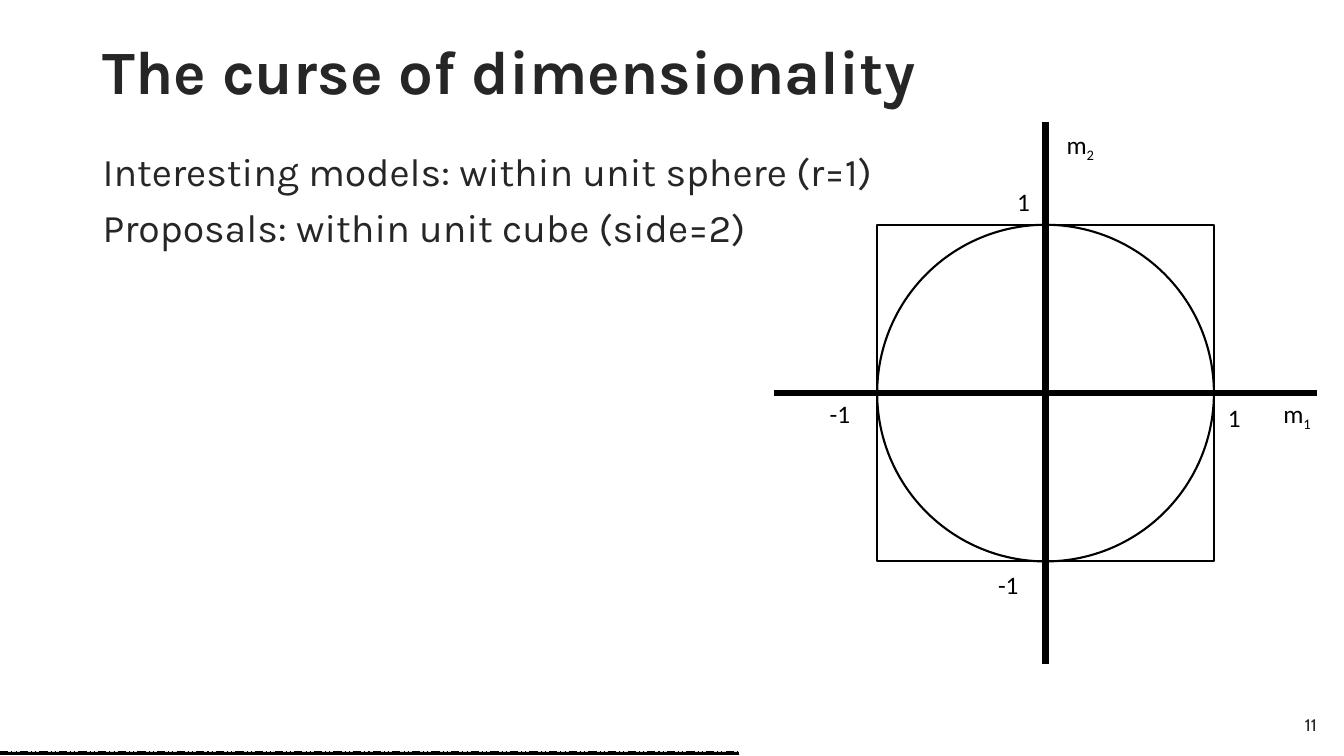
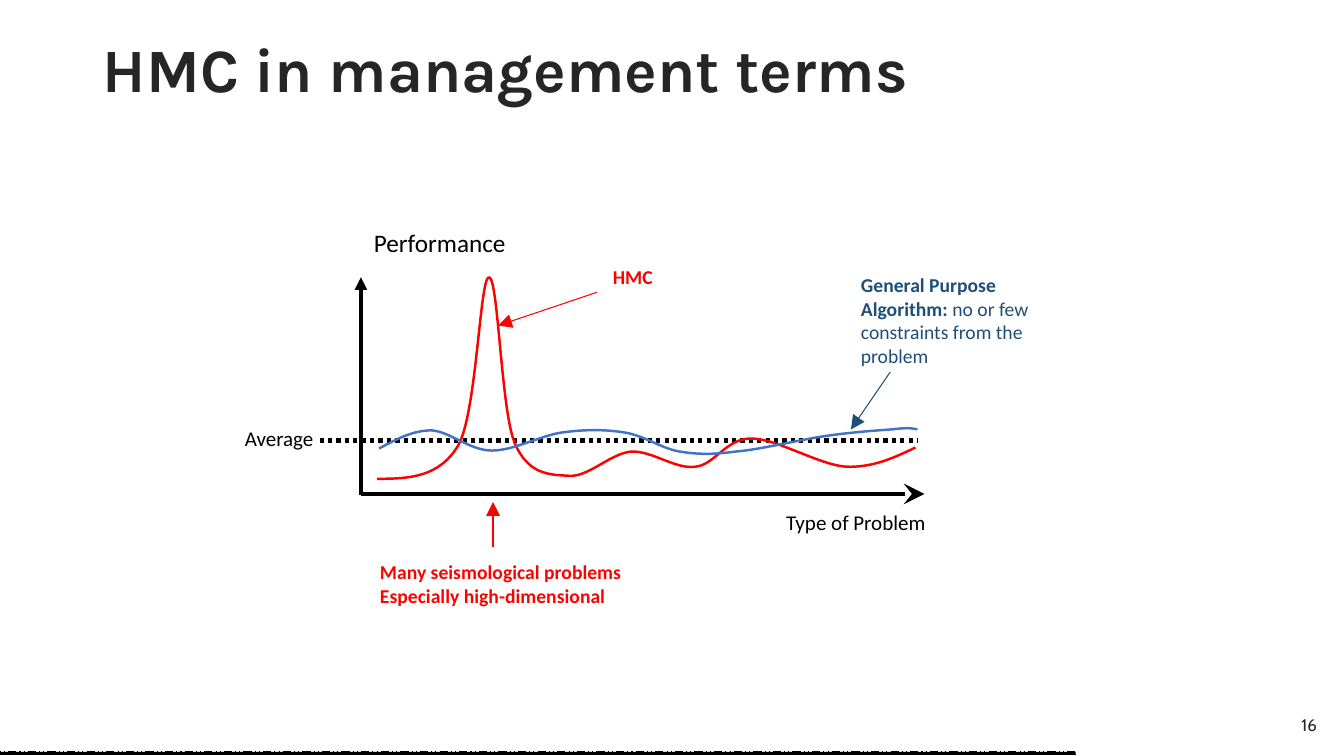
from lxml import etree
from pptx import Presentation
from pptx.dml.color import RGBColor
from pptx.enum.dml import MSO_LINE
from pptx.enum.shapes import MSO_CONNECTOR, MSO_SHAPE
from pptx.enum.text import MSO_ANCHOR, MSO_AUTO_SIZE, PP_ALIGN
from pptx.oxml.ns import qn
from pptx.util import Inches, Pt

COLORS = {"black": "000000", "text": "262626", "red": "FF0000",
          "blue": "4472C4", "navy": "1F4E79"}

SPHERE_TITLE, SPHERE_TITLE_BOX = "The curse of dimensionality", (0.92, 0.01, 12.07, 1.45)
SPHERE_PAGE, SPHERE_PROGRESS = 11, 7.33
SPHERE_POINTS = ["Interesting models: within unit sphere (r=1)",
                 "Proposals: within unit cube (side=2)"]
CENTER_X, CENTER_Y, RADIUS, AXIS_REACH = 10.37, 3.9, 1.67, 2.69
AXIS_NAMES = [("1", 12.63, 3.9), ("2", 10.48, 1.23)]
TICKS = [("1", 12.08, 3.94, 0.33), ("-1", 8.13, 3.9, 0.46),
         ("-1", 9.8, 5.6, 0.52), ("1", 9.99, 1.8, 0.33)]

HMC_TITLE, HMC_TITLE_BOX = "HMC in management terms", (0.92, 0, 11.74, 1.43)
HMC_PAGE, HMC_PROGRESS = 16, 10.67
# Lines of text, box, size, colour, bold
HMC_LABELS = [
    (["Type of Problem"], (7.7, 5.01, 1.6, 0.35), 15, "black", False),
    (["Average"], (2.33, 4.17, 0.89, 0.35), 15, "black", False),
    (["Performance"], (3.61, 2.21, 1.52, 0.4), 18, "black", False),
    (["HMC"], (5.98, 2.58, 0.6, 0.34), 14, "red", True),
    (["Many seismological problems", "Especially high-dimensional"],
     (3.67, 5.51, 2.61, 0.57), 14, "red", True),
]
# Each line is a list of (text, bold) runs
GENERAL_LINES = [[("General Purpose", True)],
                 [("Algorithm: ", True), ("no or few", False)],
                 [("constraints from the", False)],
                 [("problem", False)]]
GENERAL_BOX = (8.44, 2.66, 1.92, 1.04)
# Start, end, colour, width, arrowhead and its size, dash
HMC_LINES = [
    ((8.83, 3.69), (8.44, 4.26), "navy", 0.75, ("triangle", "lg"), None),
    ((5.92, 2.9), (4.94, 3.23), "red", 0.75, ("triangle", "lg"), None),
    ((4.89, 5.43), (4.89, 4.98), "red", 0.75, ("triangle", "lg"), None),
    ((3.58, 4.91), (3.58, 2.75), "black", 3, ("triangle", "med"), None),
    ((3.58, 4.9), (9.17, 4.9), "black", 3, ("stealth", "lg"), None),
    ((3.17, 4.37), (9.1, 4.37), "black", 3, None, MSO_LINE.ROUND_DOT),
]
# Start point, then two control points and an end point per segment
CURVES = [
    ("red", [(3.74, 4.75),
             (4.05, 4.75), (4.36, 4.74), (4.55, 4.41),
             (4.73, 4.07), (4.76, 2.75), (4.85, 2.75),
             (4.94, 2.74), (4.97, 4.05), (5.1, 4.38),
             (5.23, 4.71), (5.45, 4.71), (5.64, 4.72),
             (5.83, 4.74), (6.05, 4.5), (6.26, 4.48),
             (6.47, 4.47), (6.7, 4.66), (6.9, 4.63),
             (7.09, 4.61), (7.2, 4.35), (7.45, 4.35),
             (7.7, 4.35), (8.12, 4.61), (8.39, 4.63),
             (8.66, 4.64), (8.87, 4.54), (9.08, 4.44)]),
    ("blue", [(3.76, 4.45),
              (3.93, 4.36), (4.09, 4.27), (4.28, 4.27),
              (4.46, 4.28), (4.66, 4.47), (4.88, 4.47),
              (5.1, 4.47), (5.36, 4.32), (5.58, 4.29),
              (5.8, 4.26), (6, 4.26), (6.19, 4.29),
              (6.39, 4.32), (6.56, 4.45), (6.74, 4.48),
              (6.93, 4.51), (7.07, 4.51), (7.3, 4.48),
              (7.54, 4.46), (7.9, 4.37), (8.16, 4.33),
              (8.42, 4.29), (8.7, 4.27), (8.85, 4.26),
              (9.01, 4.24), (9.05, 4.25), (9.1, 4.26)]),
]


def rgb(color):
    return RGBColor.from_string(COLORS[color])


def set_font(font, size, color="black", name="Calibri", bold=False):
    font.size, font.name, font.bold = Pt(size), name, bold
    font.color.rgb = rgb(color)


def add_text(slide, lines, box, size, color="black", bold=False,
             name="Calibri", wrap=False):
    """Add a text box with one paragraph per line and return its frame."""
    frame = slide.shapes.add_textbox(*map(Inches, box)).text_frame
    frame.word_wrap = wrap
    frame.text = "\n".join(lines)
    for paragraph in frame.paragraphs:
        set_font(paragraph.font, size, color, name, bold)
    return frame


def add_line(slide, start, end, color, width, head=None, dash=None):
    connector = slide.shapes.add_connector(
        MSO_CONNECTOR.STRAIGHT, *map(Inches, start + end))
    line = connector.line
    line.color.rgb, line.width = rgb(color), Pt(width)
    if dash:
        line.dash_style = dash
    properties = connector.element.spPr
    if head:
        kind, size = head
        etree.SubElement(properties.find(qn("a:ln")), qn("a:tailEnd"),
                         type=kind, w=size, len=size)
    etree.SubElement(properties, qn("a:effectLst"))


def set_outline(shape, color, width):
    shape.shadow.inherit = False
    shape.fill.background()
    shape.line.color.rgb, shape.line.width = rgb(color), Pt(width)


def add_curve(slide, color, points):
    """Draw a chain of cubic Bezier segments as one open outline."""
    start, *others = [tuple(map(Inches, point)) for point in points]
    builder = slide.shapes.build_freeform(*start)
    builder.add_line_segments(others, close=False)
    shape = builder.convert_to_shape()
    set_outline(shape, color, 1.75)
    # Each three straight steps become one cubic segment
    steps = list(shape.element.iter(qn("a:lnTo")))
    for index in range(0, len(steps), 3):
        cubic = etree.Element(qn("a:cubicBezTo"))
        steps[index].addprevious(cubic)
        for step in steps[index:index + 3]:
            cubic.append(step[0])
            step.getparent().remove(step)


def add_slide(presentation, title_text, title_box, page, progress):
    """Add a slide with its title, page number and progress bar."""
    slide = presentation.slides.add_slide(presentation.slide_layouts[5])
    title = slide.shapes.title
    title.left, title.top, title.width, title.height = map(Inches, title_box)
    frame = title.text_frame
    frame.text = title_text
    frame.auto_size = MSO_AUTO_SIZE.NONE
    frame.vertical_anchor = MSO_ANCHOR.MIDDLE
    paragraph = frame.paragraphs[0]
    paragraph.alignment, paragraph.line_spacing = PP_ALIGN.LEFT, 0.9
    set_font(paragraph.font, 44, "text", "Karla", True)

    number = add_text(slide, [str(page)], (10.16, 6.99, 3, 0.4), 12, "text",
                      name="Cabin", wrap=True)
    number.vertical_anchor = MSO_ANCHOR.MIDDLE
    number.paragraphs[0].alignment = PP_ALIGN.RIGHT

    bar = slide.shapes.add_shape(
        MSO_SHAPE.RECTANGLE, *map(Inches, (0, 7.46, progress, 0.03)))
    set_outline(bar, "black", 0)
    bar.line.dash_style = MSO_LINE.DASH_DOT_DOT
    bar.fill.solid()
    bar.fill.fore_color.rgb = rgb("black")
    return slide


def build_sphere_slide(presentation):
    slide = add_slide(presentation, SPHERE_TITLE, SPHERE_TITLE_BOX,
                      SPHERE_PAGE, SPHERE_PROGRESS)
    body = add_text(slide, SPHERE_POINTS, (0.92, 1.46, 11.5, 5.29), 28, "text",
                    name="Karla", wrap=True)
    for index, paragraph in enumerate(body.paragraphs):
        paragraph.line_spacing = 0.9
        paragraph.space_before = Pt(10 if index else 0)

    square = (CENTER_X - RADIUS, CENTER_Y - RADIUS, 2 * RADIUS, 2 * RADIUS)
    for kind in (MSO_SHAPE.RECTANGLE, MSO_SHAPE.OVAL):
        set_outline(slide.shapes.add_shape(kind, *map(Inches, square)),
                    "black", 1.5)
    for dx, dy in ((AXIS_REACH, 0), (0, AXIS_REACH)):
        add_line(slide, (CENTER_X - dx, CENTER_Y + dy),
                 (CENTER_X + dx, CENTER_Y - dy), "black", 4.5)

    for subscript, left, top in AXIS_NAMES:
        frame = add_text(slide, ["m"], (left, top, 0.49, 0.4), 18)
        run = frame.paragraphs[0].add_run()
        run.text = subscript
        run.font._element.set("baseline", "-25000")
    for text, left, top, width in TICKS:
        add_text(slide, [text], (left, top, width, 0.4), 18, wrap=True)


def build_hmc_slide(presentation):
    slide = add_slide(presentation, HMC_TITLE, HMC_TITLE_BOX,
                      HMC_PAGE, HMC_PROGRESS)
    for label in HMC_LABELS:
        add_text(slide, *label)
    frame = add_text(slide, [""] * len(GENERAL_LINES), GENERAL_BOX, 14, "navy")
    for paragraph, runs in zip(frame.paragraphs, GENERAL_LINES):
        for text, bold in runs:
            run = paragraph.add_run()
            run.text, run.font.bold = text, bold
    for line in HMC_LINES:
        add_line(slide, *line)
    for color, points in CURVES:
        add_curve(slide, color, points)


def main():
    presentation = Presentation()
    presentation.slide_width = Inches(13.33)
    presentation.slide_height = Inches(7.5)
    build_sphere_slide(presentation)
    build_hmc_slide(presentation)
    presentation.save("out.pptx")


if __name__ == "__main__":
    main()
